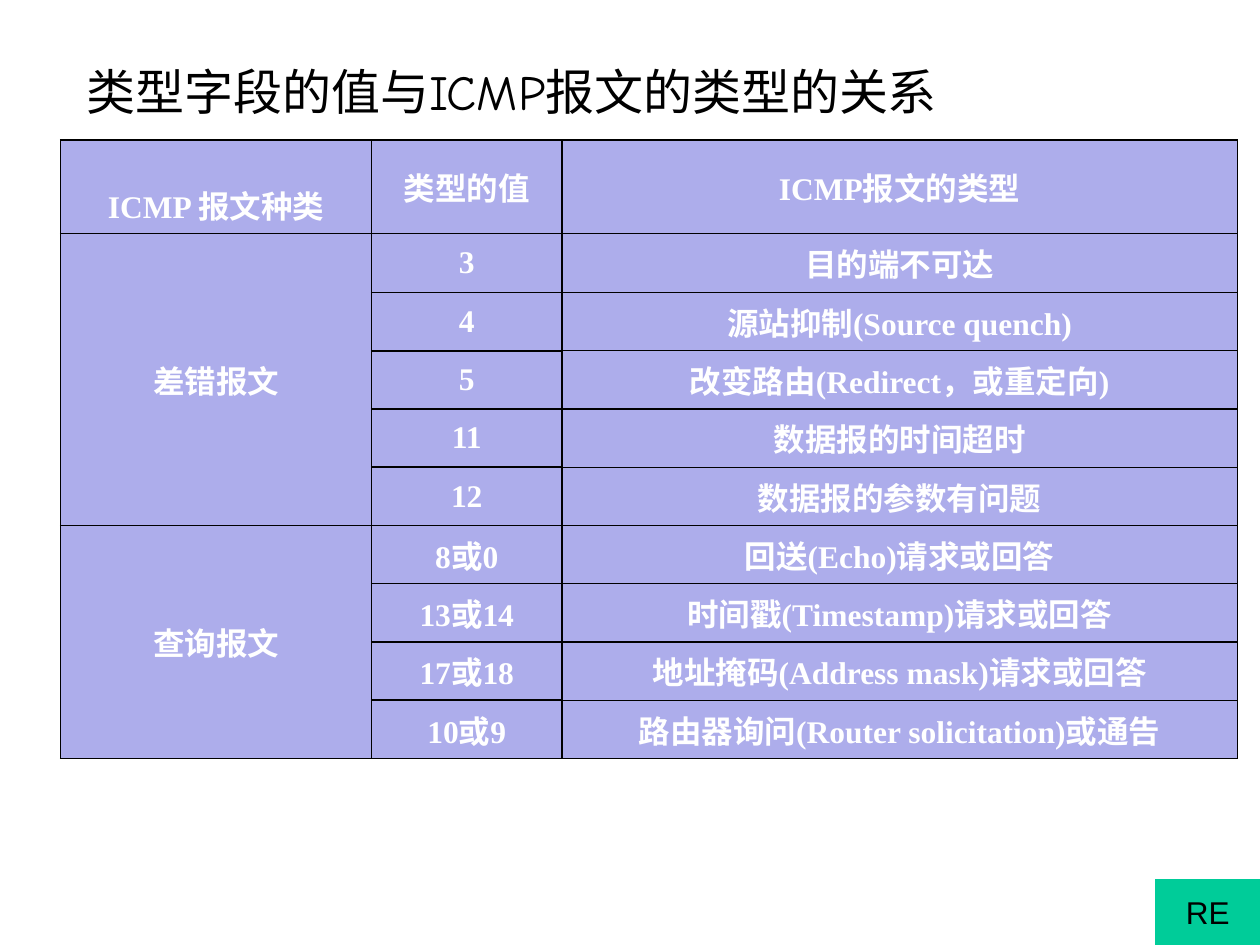
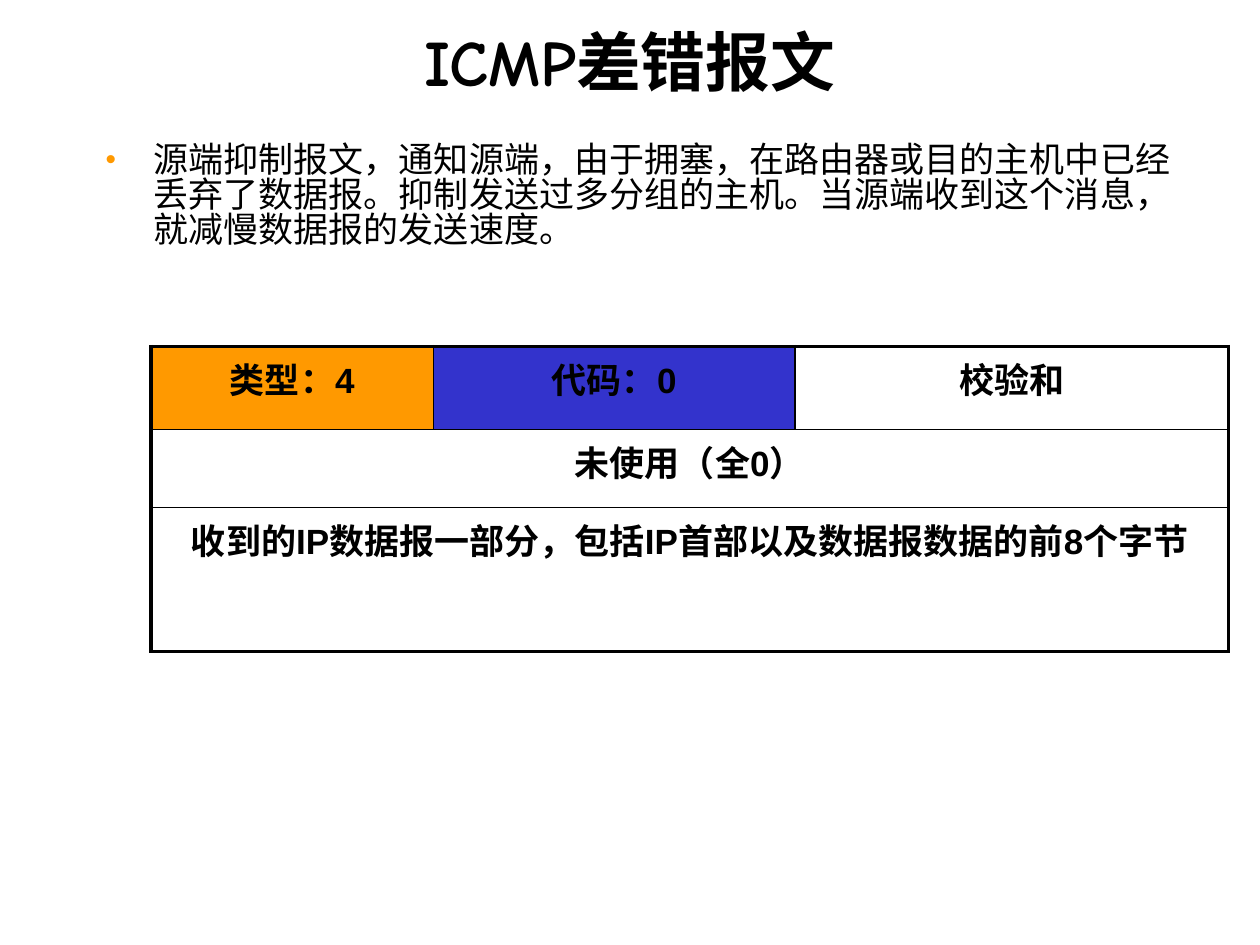
from dataclasses import dataclass, field
from typing import NamedTuple, Optional

from lxml.etree import SubElement
from pptx import Presentation
from pptx.dml.color import RGBColor as Color
from pptx.enum.lang import MSO_LANGUAGE_ID as Language
from pptx.enum.shapes import MSO_SHAPE as Preset
from pptx.enum.text import MSO_ANCHOR as Anchor, PP_ALIGN as Align
from pptx.oxml.ns import qn
from pptx.util import Inches, Pt

# The slide is a grid of 100 columns by 75 rows of square units.
UNIT = Inches(0.1)
SLIDE_COLUMNS, SLIDE_ROWS = 100, 75


def grid(units: float) -> int:
    return round(units * UNIT)


@dataclass(frozen=True)
class Theme:
    ink: str = "000000"
    paper: str = "FFFFFF"
    lavender: str = "ADADEB"
    orange: str = "FF9900"
    blue: str = "3333CC"
    green: str = "00CC99"
    heading_face: str = "Comic Neue"
    serif_face: str = "Times New Roman"
    sans_face: str = "Arial"
    title_size: int = 37
    subtitle_size: int = 28
    text_size: int = 20
    small_size: int = 18


THEME = Theme()


class Frame(NamedTuple):
    left: float
    top: float
    width: float
    height: float

    def lengths(self) -> list[int]:
        return [grid(units) for units in self]


class Style(NamedTuple):
    size: int
    face: str
    color: str = THEME.ink
    bold: bool = False
    align: Align = Align.CENTER


class Region(NamedTuple):
    top: int
    left: int
    bottom: int
    right: int


class Edges(NamedTuple):
    left: float
    top: float
    right: float
    bottom: float


@dataclass(frozen=True)
class TableSpec:
    left: float
    top: float
    columns: list[float]
    rows: list[float]
    texts: list[list[str]]
    merges: list[Region]
    style: Style
    anchor: Anchor
    outer: Edges
    row_rules: list[float]  # width of the inner horizontal lines, by column
    base_fill: Optional[str] = None
    fills: dict[tuple[int, int], str] = field(default_factory=dict)

    def region(self, row: int, column: int) -> Region:
        for merge in self.merges:
            if merge.top <= row <= merge.bottom and merge.left <= column <= merge.right:
                return merge
        return Region(row, column, row, column)


TYPE_ROWS = [
    ["ICMP 报文种类", "类型的值", "ICMP报文的类型"],
    ["差错报文", "3", "目的端不可达"],
    ["", "4", "源站抑制(Source quench)"],
    ["", "5", "改变路由(Redirect，或重定向)"],
    ["", "11", "数据报的时间超时"],
    ["", "12", "数据报的参数有问题"],
    ["查询报文", "8或0", "回送(Echo)请求或回答"],
    ["", "13或14", "时间戳(Timestamp)请求或回答"],
    ["", "17或18", "地址掩码(Address mask)请求或回答"],
    ["", "10或9", "路由器询问(Router solicitation)或通告"],
]

TYPE_TABLE = TableSpec(
    left=4.8, top=11.1,
    columns=[24.7, 15.1, 53.6], rows=[7, 4.7] + [4] * 8,
    texts=TYPE_ROWS,
    merges=[Region(1, 0, 5, 0), Region(6, 0, 9, 0)],
    style=Style(THEME.small_size, THEME.serif_face, THEME.paper, bold=True),
    anchor=Anchor.MIDDLE,
    outer=Edges(0.75, 1, 0.75, 1), row_rules=[1, 1, 0.75],
    base_fill=THEME.lavender,
)

QUENCH_TABLE = TableSpec(
    left=12, top=27.5,
    columns=[22.4, 28.7, 34.4], rows=[6.6, 6.2, 11.4],
    texts=[
        ["类型：4", "代码：0", "校验和"],
        ["未使用（全0）", "", ""],
        ["收到的IP数据报一部分，包括IP首部以及数据报数据的前8个字节", "", ""],
    ],
    merges=[Region(row, 0, row, 2) for row in (1, 2)],
    style=Style(THEME.text_size, THEME.sans_face, bold=True),
    anchor=Anchor.TOP,
    outer=Edges(2.25, 2.25, 2.25, 2.25), row_rules=[1, 1, 1],
    fills={(0, 0): THEME.orange, (0, 1): THEME.blue},
)


def write(text_frame, text: str, style: Style):
    text_frame.text = text
    para = text_frame.paragraphs[0]
    para.alignment = style.align
    for span in para.runs:
        font = span.font
        font.size, font.name, font.bold = Pt(style.size), style.face, style.bold
        font.color.rgb = Color.from_string(style.color)
        font.language_id = Language.SIMPLIFIED_CHINESE
    return para


def add_text(page, frame: Frame, text: str, style: Style, anchor: Anchor = Anchor.TOP):
    text_frame = page.shapes.add_textbox(*frame.lengths()).text_frame
    text_frame.word_wrap = True
    text_frame.vertical_anchor = anchor
    return write(text_frame, text, style)


def add_bullet(para, indent: float) -> None:
    properties = para._p.get_or_add_pPr()
    properties.set("marL", str(grid(indent)))
    properties.set("indent", str(-grid(indent)))
    color = SubElement(properties, qn("a:buClr"))
    SubElement(color, qn("a:srgbClr"), val=THEME.orange)
    SubElement(properties, qn("a:buSzPct"), val="85000")
    SubElement(properties, qn("a:buFont"), typeface=THEME.sans_face)
    SubElement(properties, qn("a:buChar"), char="•")


def add_border(cell, side: str, points: float) -> None:
    line = SubElement(cell._tc.get_or_add_tcPr(), qn(f"a:ln{side}"), w=str(Pt(points)))
    fill = SubElement(line, qn("a:solidFill"))
    SubElement(fill, qn("a:srgbClr"), val=THEME.ink)


def draw_borders(cell, spec: TableSpec, row: int, column: int) -> None:
    """Rule the sides of a cell, leaving the inside of a merged region open."""
    region = spec.region(row, column)
    last_row, last_column = len(spec.rows) - 1, len(spec.columns) - 1
    inner, rule = 1, spec.row_rules[column]
    is_origin = (row, column) == (region.top, region.left)
    header_rule = 1 if row == 1 else rule
    sides = [
        ("L", column == region.left, spec.outer.left if region.left == 0 else inner),
        ("R", column == region.right,
         spec.outer.right if region.right == last_column else inner),
        ("T", row == region.top, spec.outer.top if region.top == 0 else header_rule),
        ("B", row == region.bottom,
         spec.outer.bottom if region.bottom == last_row else 1 if row == 0 else rule),
    ]
    for side, on_boundary, points in sides:
        if is_origin or on_boundary:
            add_border(cell, side, points)


def add_grid_table(page, spec: TableSpec):
    frame = Frame(spec.left, spec.top, sum(spec.columns), sum(spec.rows))
    table = page.shapes.add_table(
        len(spec.rows), len(spec.columns), *frame.lengths()).table
    table.first_row = table.horz_banding = False
    for column, width in zip(table.columns, spec.columns):
        column.width = grid(width)
    for row, height in zip(table.rows, spec.rows):
        row.height = grid(height)
    for merge in spec.merges:
        table.cell(merge.top, merge.left).merge(table.cell(merge.bottom, merge.right))
    for row, texts in enumerate(spec.texts):
        for column, text in enumerate(texts):
            cell = table.cell(row, column)
            draw_borders(cell, spec, row, column)
            fill = spec.fills.get((row, column), spec.base_fill)
            if fill:
                cell.fill.solid()
                cell.fill.fore_color.rgb = Color.from_string(fill)
            else:
                cell.fill.background()
            cell.vertical_anchor = spec.anchor
            if text:
                write(cell.text_frame, text, spec.style)
    return table


def add_return_button(page) -> None:
    frame = Frame(SLIDE_COLUMNS - 8.3, SLIDE_ROWS - 5.2, 8.3, 5.2)
    button = page.shapes.add_shape(Preset.ACTION_BUTTON_CUSTOM, *frame.lengths())
    button.shadow.inherit = False
    button.fill.solid()
    button.fill.fore_color.rgb = Color.from_string(THEME.green)
    button.line.fill.background()
    button.text_frame.word_wrap = False
    button.text_frame.vertical_anchor = Anchor.MIDDLE
    write(button.text_frame, "RE", Style(THEME.small_size, THEME.sans_face))


def build_type_page(page) -> None:
    table = add_grid_table(page, TYPE_TABLE)
    table.cell(0, 0).margin_top = grid(3.3)
    add_text(page, Frame(5.9, 4.4, 90, 5.8), "类型字段的值与ICMP报文的类型的关系",
             Style(THEME.subtitle_size, THEME.heading_face, align=Align.LEFT))
    add_return_button(page)


def build_quench_page(page) -> None:
    add_text(page, Frame(5, 1.3, 90, 7), "ICMP差错报文",
             Style(THEME.title_size, THEME.heading_face, bold=True), Anchor.MIDDLE)
    para = add_text(
        page, Frame(7.4, 11, 86.5, 16.9),
        "源端抑制报文，通知源端，由于拥塞，在路由器或目的主机中已经丢弃了数据报。"
        "抑制发送过多分组的主机。当源端收到这个消息，就减慢数据报的发送速度。",
        Style(THEME.text_size, THEME.heading_face, align=Align.LEFT))
    add_bullet(para, indent=3.8)
    para.line_spacing = 0.83
    add_grid_table(page, QUENCH_TABLE)


def main() -> None:
    deck = Presentation()
    deck.slide_width, deck.slide_height = grid(SLIDE_COLUMNS), grid(SLIDE_ROWS)
    blank = deck.slide_layouts[6]
    for build_page in (build_type_page, build_quench_page):
        build_page(deck.slides.add_slide(blank))
    deck.save("out.pptx")


if __name__ == "__main__":
    main()
